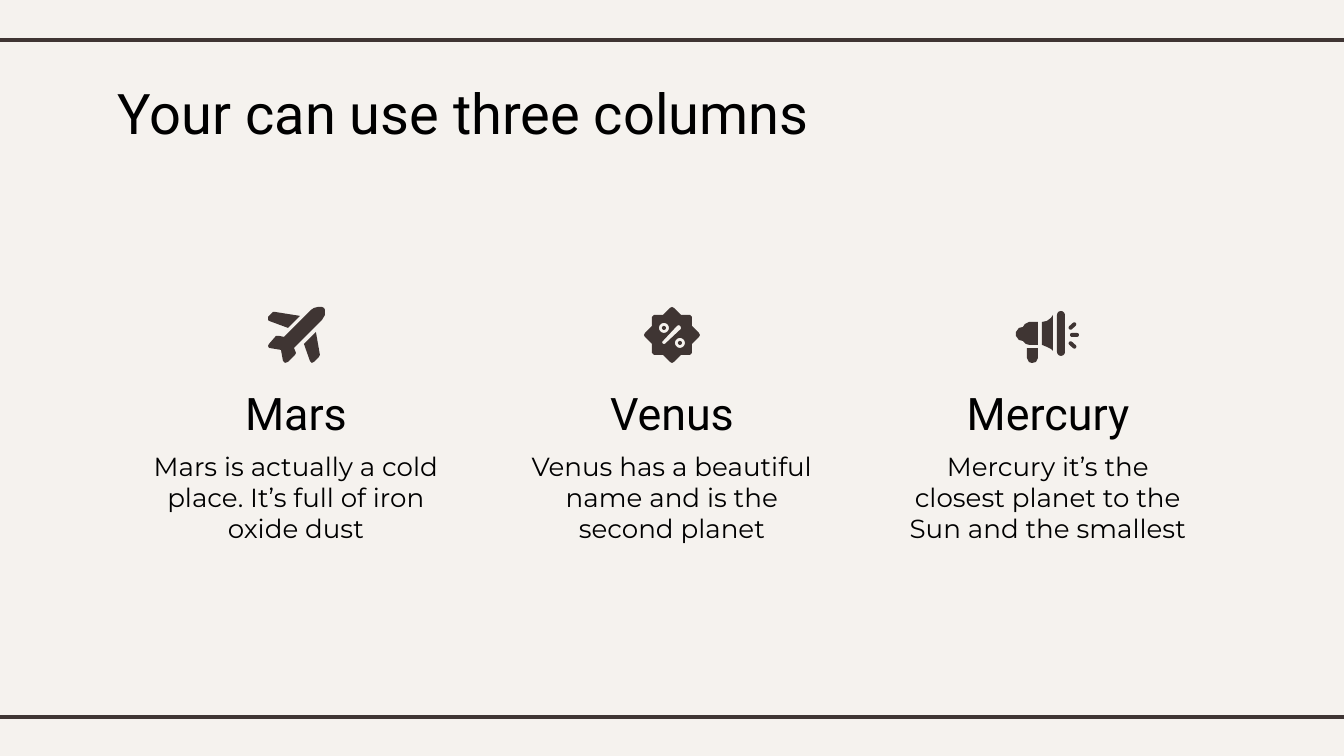
"""Build a slide with a title and three planet columns under icons."""
import math
from dataclasses import dataclass

import pptx
import pptx.dml.color
import pptx.enum.shapes
import pptx.enum.text
import pptx.oxml
import pptx.util

RGB = pptx.dml.color.RGBColor.from_string
SHAPE = pptx.enum.shapes.MSO_SHAPE
ANCHOR = pptx.enum.text.MSO_ANCHOR
ALIGN = pptx.enum.text.PP_ALIGN


@dataclass(frozen=True)
class Theme:
    paper: str = "F5F2EE"
    accent: str = "3F3533"
    ink: str = "000000"
    head_font: str = "Roboto"
    body_font: str = "Montserrat"
    title_pt: int = 30
    name_pt: int = 24
    body_pt: int = 14
    rule_pt: float = 2.25


THEME = Theme()
W, H = 1344, 756
INSET = 13
TITLE = "Your can use three columns"
TITLE_BOX = (105, 66, 978, 85)
RULES = (40, 717)
COLUMN_W, COLUMN_STEP = 313, 376
NAME_Y, NAME_H = 387, 52
BODY_Y, BODY_H = 437, 120


def px(n):
    return round(n * 914400 / 134.4)


def circle(cx, cy, radius, steps=24):
    turns = [2 * math.pi * i / steps for i in range(steps)]
    return [(cx + radius * math.cos(a), cy + radius * math.sin(a)) for a in turns]


PLANE = {
    "outlines": [
        [[(318, 307), (314, 308), (311, 310), (284, 337), (279, 336), (276, 336),
          (269, 344), (268, 346), (269, 348), (281, 350), (283, 361), (285, 363),
          (288, 362), (295, 355), (296, 353), (294, 348), (322, 320), (325, 315),
          (325, 310), (324, 308), (322, 307)]],
        [[(275, 312), (273, 312), (268, 317), (268, 320), (269, 321), (288, 328), (300, 316)]],
        [[(316, 332), (304, 344), (310, 361), (312, 363), (314, 362), (319, 357), (320, 355)]],
    ],
    "pills": [],
}
BADGE = {
    "outlines": [
        [[(672, 307), (670, 308), (663, 315), (654, 315), (652, 317), (652, 326),
          (645, 333), (644, 335), (645, 337), (652, 344), (652, 353), (654, 355),
          (663, 355), (670, 362), (672, 363), (674, 362), (681, 355), (690, 355),
          (692, 353), (692, 344), (699, 337), (700, 335), (699, 333), (692, 326),
          (692, 317), (690, 315), (681, 315), (674, 308)],
         circle(664, 328, 5),
         circle(680, 343, 5),
         [(679, 325), (681, 327), (681, 329), (665, 344), (663, 344), (662, 342), (677, 326)]],
        [circle(664, 328, 2)],
        [circle(680, 343, 2)],
    ],
    "pills": [],
}
MEGAPHONE = {
    "outlines": [
        [[(1038, 322), (1029, 322), (1025, 324), (1023, 327), (1019, 328), (1016, 332),
          (1016, 336), (1019, 340), (1023, 341), (1026, 344), (1030, 345), (1038, 345)]],
        [[(1027, 348), (1027, 358), (1029, 362), (1032, 363), (1036, 362), (1038, 358),
          (1038, 348)]],
        [[(1053, 315), (1051, 318), (1047, 321), (1042, 322), (1042, 345), (1047, 347),
          (1051, 349), (1053, 351)]],
    ],
    "pills": [(1057, 311, 8, 45, 0), (1070, 333, 9, 4, 0),
              (1068, 343, 9, 4, 42), (1068, 324, 9, 4, -42)],
}
COLUMNS = [
    ("Mars", "Mars is actually a cold place. It’s full of iron oxide dust", PLANE),
    ("Venus", "Venus has a beautiful name and is the second planet", BADGE),
    ("Mercury", "Mercury it’s the closest planet to the Sun and the smallest", MEGAPHONE),
]


def set_text(sp, text, font, size, align, anchor):
    tf = sp.text_frame
    tf.word_wrap = True
    tf.auto_size = pptx.enum.text.MSO_AUTO_SIZE.NONE
    tf.vertical_anchor = anchor
    tf.margin_left = tf.margin_right = tf.margin_top = tf.margin_bottom = px(INSET)
    p = tf.paragraphs[0]
    p.text = text
    p.alignment = align
    p.font.name = font
    p.font.size = pptx.util.Pt(size)
    p.font.color.rgb = RGB(THEME.ink)


def paint(sp):
    sp.shadow.inherit = False
    sp.fill.solid()
    sp.fill.fore_color.rgb = RGB(THEME.accent)
    sp.line.fill.background()


def add_rule(s, y):
    rule = s.shapes.add_connector(
        pptx.enum.shapes.MSO_CONNECTOR.STRAIGHT, 0, px(y), px(W), px(y))
    rule.line.color.rgb = RGB(THEME.accent)
    rule.line.width = pptx.util.Pt(THEME.rule_pt)
    rule._element.spPr.append(pptx.oxml.parse_xml(
        '<a:effectLst xmlns:a="http://schemas.openxmlformats.org/drawingml/2006/main"/>'))


def add_icon(s, icon):
    group = s.shapes.add_group_shape()
    for contours in icon["outlines"]:
        first, *holes = [[(px(x), px(y)) for x, y in c] for c in contours]
        builder = group.shapes.build_freeform(*first[0])
        builder.add_line_segments(first[1:])
        for hole in holes:
            builder.move_to(*hole[0])
            builder.add_line_segments(hole[1:])
        paint(builder.convert_to_shape())
    for *box, angle in icon["pills"]:
        pill = group.shapes.add_shape(SHAPE.ROUNDED_RECTANGLE, *map(px, box))
        pill.adjustments[0] = 0.5
        pill.rotation = angle
        paint(pill)


def main():
    prs = pptx.Presentation()
    prs.slide_width, prs.slide_height = px(W), px(H)
    s = prs.slides.add_slide(prs.slide_layouts[5])
    s.background.fill.solid()
    s.background.fill.fore_color.rgb = RGB(THEME.paper)
    for y in RULES:
        add_rule(s, y)

    title = s.shapes.title
    title.left, title.top, title.width, title.height = map(px, TITLE_BOX)
    set_text(title, TITLE, THEME.head_font, THEME.title_pt, ALIGN.LEFT, ANCHOR.TOP)

    first_left = (W - COLUMN_W) / 2 - COLUMN_STEP
    for i, (name, body, icon) in enumerate(COLUMNS):
        left = first_left + i * COLUMN_STEP
        sp = s.shapes.add_textbox(*map(px, (left, NAME_Y, COLUMN_W, NAME_H)))
        set_text(sp, name, THEME.head_font, THEME.name_pt, ALIGN.CENTER, ANCHOR.MIDDLE)
        sp = s.shapes.add_textbox(*map(px, (left, BODY_Y, COLUMN_W, BODY_H)))
        set_text(sp, body, THEME.body_font, THEME.body_pt, ALIGN.CENTER, ANCHOR.TOP)
        add_icon(s, icon)

    prs.save("out.pptx")


if __name__ == "__main__":
    main()
